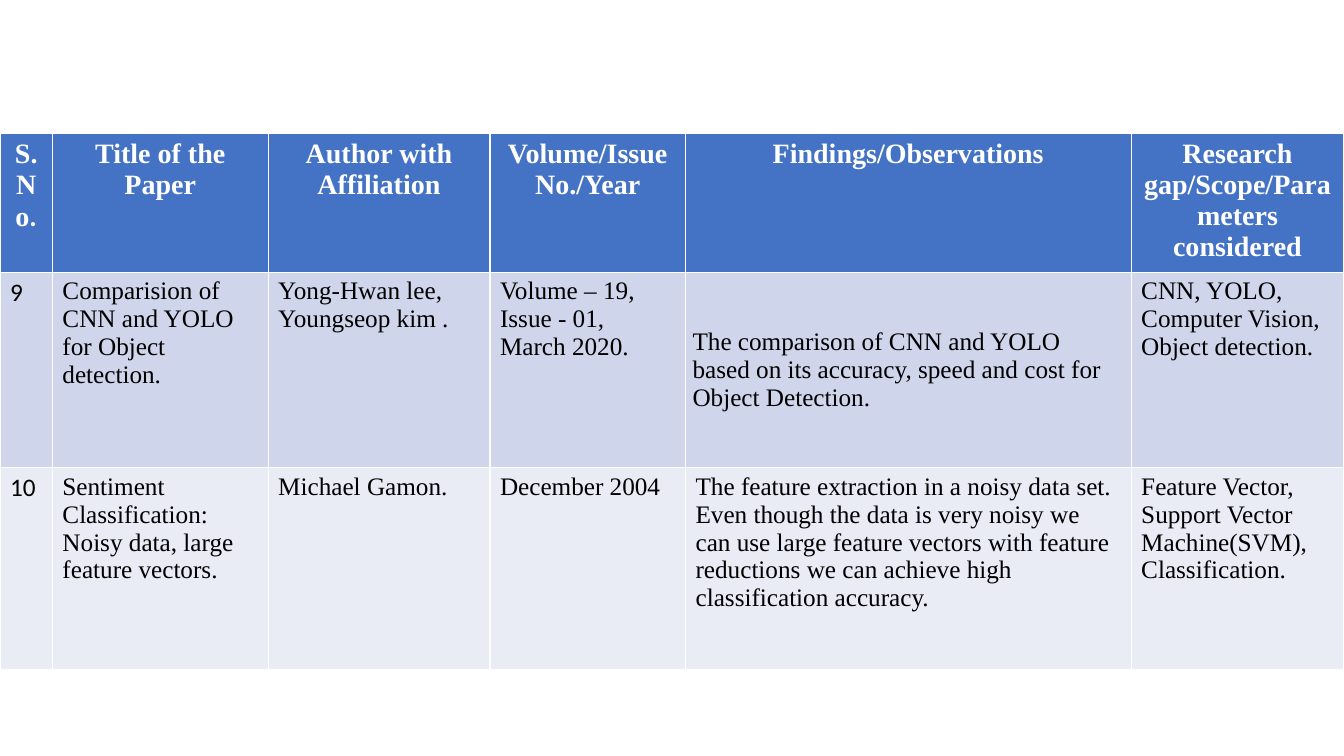
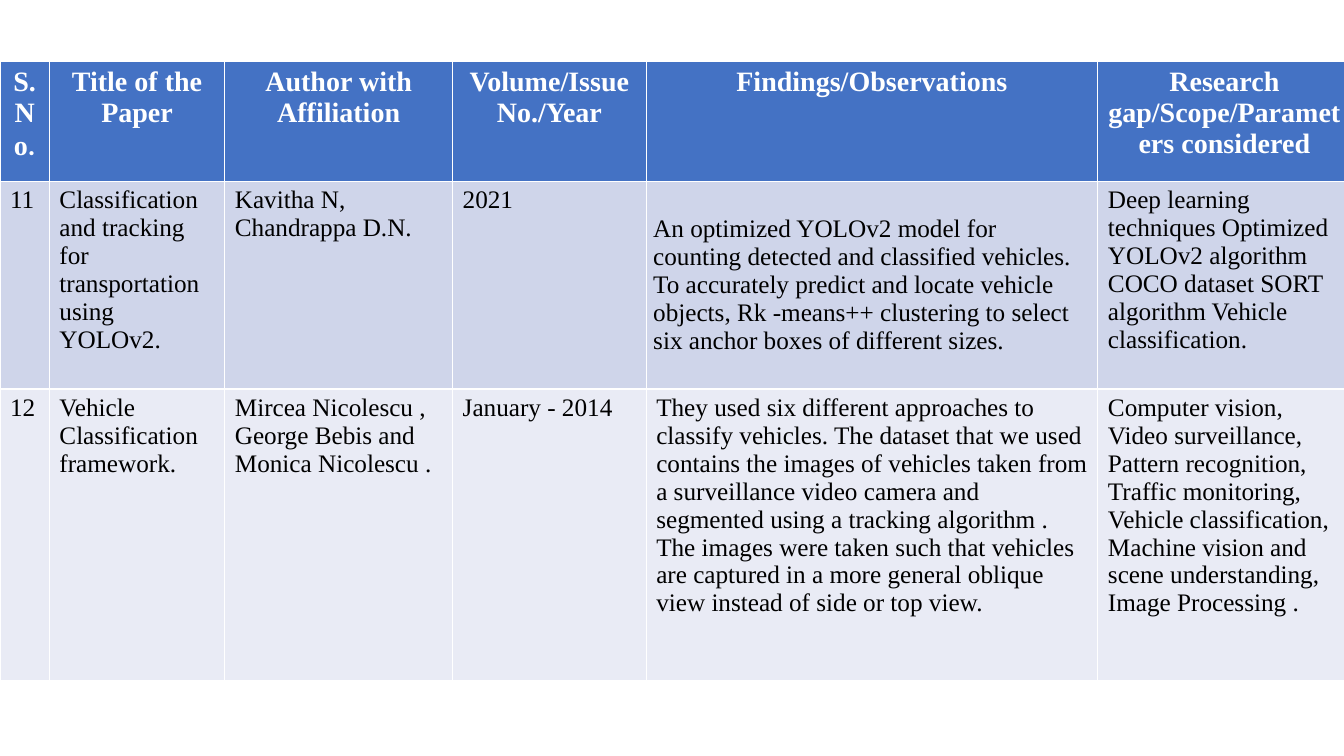
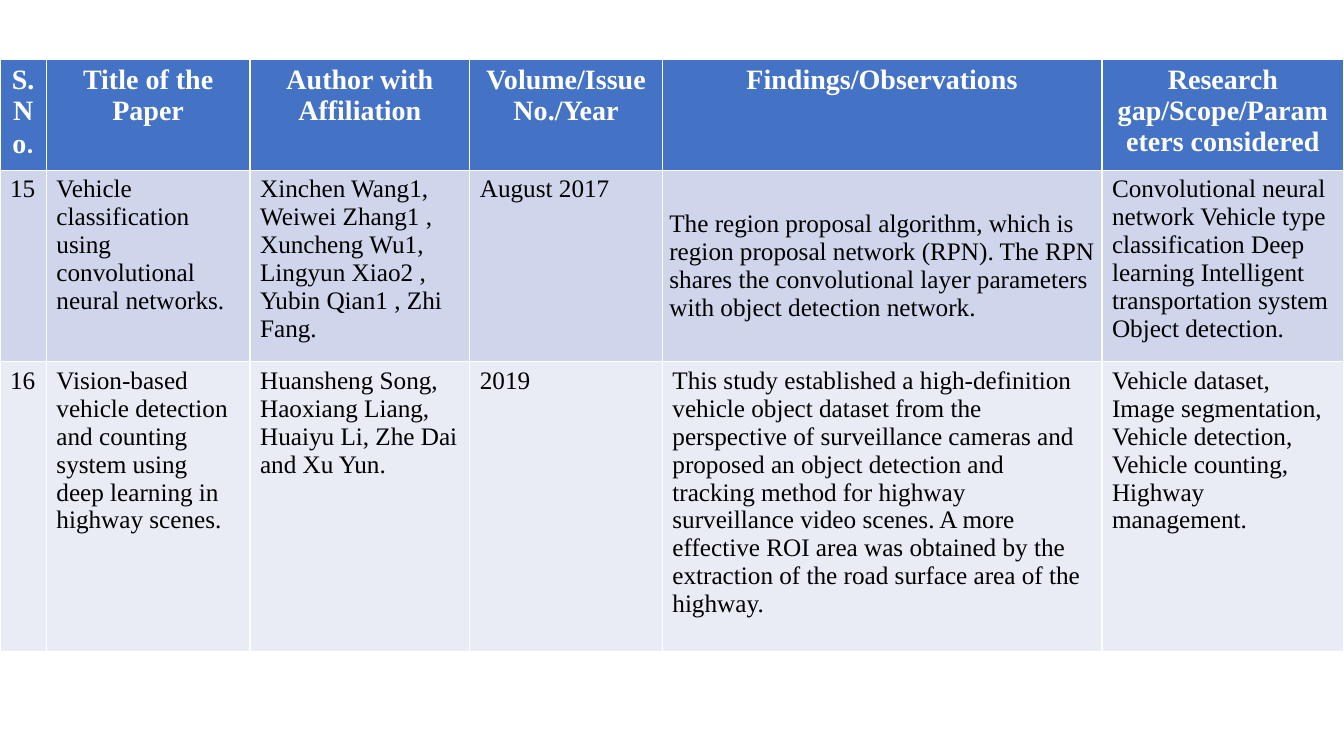
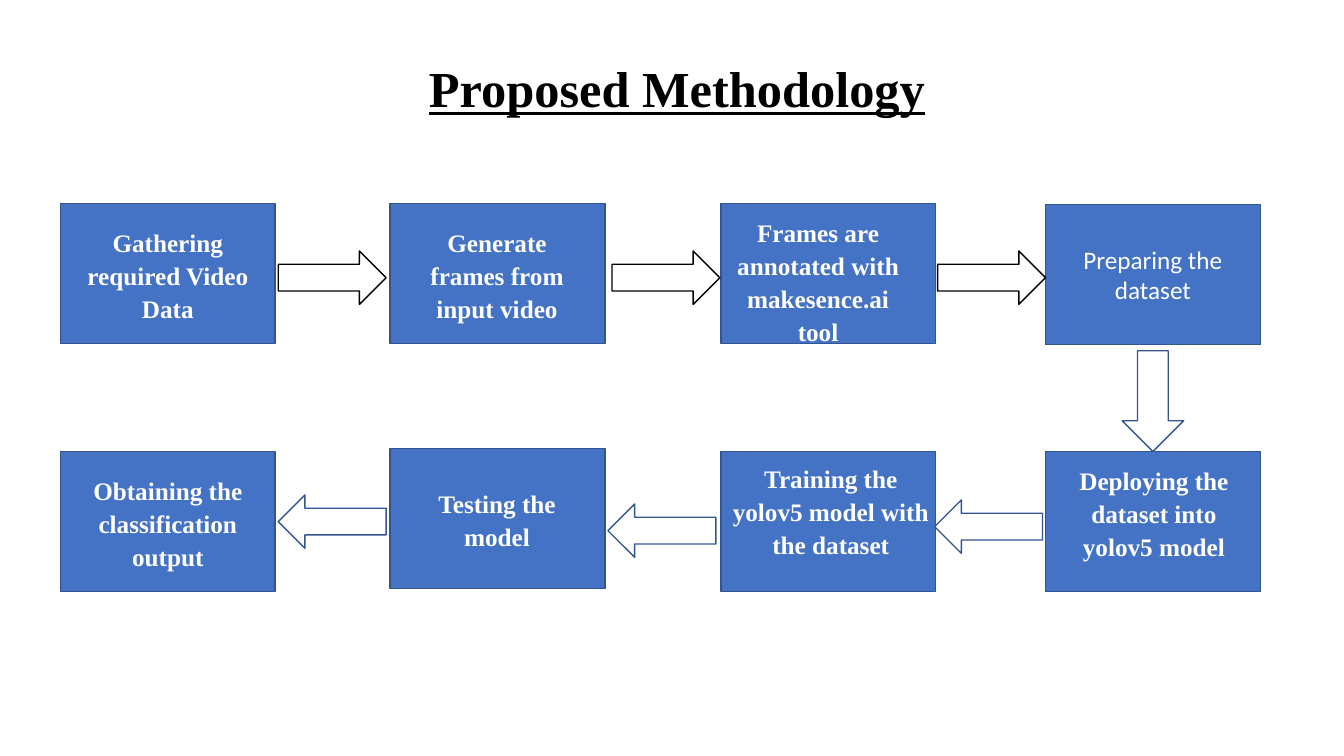
from pptx import Presentation
from pptx.dml.color import RGBColor
from pptx.enum.shapes import MSO_SHAPE as SHAPE
from pptx.enum.text import MSO_ANCHOR as ANCHOR, MSO_AUTO_SIZE as AUTO_SIZE, PP_ALIGN as ALIGN
from pptx.util import Inches, Pt

# Shared colours and fonts
WHITE = RGBColor(0xFF, 0xFF, 0xFF)
BLACK = RGBColor(0x00, 0x00, 0x00)
BLUE = RGBColor(0x44, 0x72, 0xC4)
DARK_BLUE = RGBColor(0x32, 0x54, 0x91)
BANDS = (RGBColor(0xCF, 0xD5, 0xEA), RGBColor(0xE9, 0xEB, 0xF5))
SERIF, SANS = "Times New Roman", "Calibri"

TITLE_ONLY, BLANK = 5, 6

# Literature survey tables
HEADERS = ["S.No", "Title of the Paper", "Author with Affiliation", "Volume/Issue No./Year",
           "Findings/Observations", "Research gap/Scope/Parameters considered"]
FINDINGS = HEADERS.index("Findings/Observations")

SURVEYS = [
    dict(top=1.32, cols=[0.52, 2.14, 2.2, 1.94, 4.42, 2.11], heights=[1.38, 1.94, 2],
         number_font=SANS, papers=[
        ["9", "Comparision of CNN and YOLO for Object detection.",
         "Yong-Hwan lee, Youngseop kim .", "Volume – 19, Issue - 01, March 2020.",
         "The comparison of CNN and YOLO based on its accuracy, speed and cost for "
         "Object Detection.",
         "CNN, YOLO, Computer Vision, Object detection."],
        ["10", "Sentiment Classification: Noisy data, large feature vectors.",
         "Michael Gamon.", "December 2004",
         "The feature extraction in a noisy data set. Even though the data is very noisy we "
         "can use large feature vectors with feature reductions we can achieve high "
         "classification accuracy.",
         "Feature Vector, Support Vector Machine(SVM), Classification."],
    ]),
    dict(top=0.61, cols=[0.49, 1.74, 2.26, 1.92, 4.48, 2.51], heights=[1.19, 2.06, 2.89],
         number_font=SERIF, papers=[
        ["11", "Classification and tracking for transportation using YOLOv2.",
         "Kavitha N, Chandrappa D.N.", "2021",
         "An optimized YOLOv2 model for counting detected and classified vehicles. To "
         "accurately predict and locate vehicle objects, Rk -means++ clustering to select "
         "six anchor boxes of different sizes.",
         "Deep learning techniques Optimized YOLOv2 algorithm COCO dataset SORT algorithm "
         "Vehicle classification."],
        ["12", "Vehicle Classification framework.",
         "Mircea Nicolescu , George Bebis and Monica Nicolescu .", "January - 2014",
         "They used six different approaches to classify vehicles. The dataset that we used "
         "contains the images of vehicles taken from a surveillance video camera and "
         "segmented using a tracking algorithm . The images were taken such that vehicles "
         "are captured in a more general oblique view instead of side or top view.",
         "Computer vision, Video surveillance, Pattern recognition, Traffic monitoring, "
         "Vehicle classification, Machine vision and scene understanding, Image Processing ."],
    ]),
    dict(top=0.59, cols=[0.46, 2.02, 2.18, 1.91, 4.36, 2.4], heights=[1.1, 1.9, 2.87],
         number_font=SERIF, papers=[
        ["15", "Vehicle classification using convolutional neural networks.",
         "Xinchen Wang1, Weiwei Zhang1 , Xuncheng Wu1, Lingyun Xiao2 , Yubin Qian1 , "
         "Zhi Fang.", "August 2017",
         "The region proposal algorithm, which is region proposal network (RPN). The RPN "
         "shares the convolutional layer parameters with object detection network.",
         "Convolutional neural network Vehicle type classification Deep learning Intelligent "
         "transportation system Object detection."],
        ["16", "Vision-based vehicle detection and counting system using deep learning in "
         "highway scenes.",
         "Huansheng Song, Haoxiang Liang, Huaiyu Li, Zhe Dai and Xu Yun.", "2019",
         "This study established a high-definition vehicle object dataset from the "
         "perspective of surveillance cameras and proposed an object detection and tracking "
         "method for highway surveillance video scenes. A more effective ROI area was "
         "obtained by the extraction of the road surface area of the highway.",
         "Vehicle dataset, Image segmentation, Vehicle detection, Vehicle counting, "
         "Highway management."],
    ]),
]

# Flow steps: left, top, text, (left, top, right) insets, anchor, font
STEP_SIZE = (2.13, 1.39)
STEPS = [
    (0.6, 2.02, "Gathering required Video Data", (0.1, 0.05, 0.1), ANCHOR.MIDDLE, SERIF),
    (3.87, 2.02, "Generate frames from input video", (0.23, 0.05, 0.24), ANCHOR.MIDDLE, SERIF),
    (7.15, 2.02, "Frames are annotated with makesence.ai tool", (0.1, 0.11, 0.3), ANCHOR.TOP, SERIF),
    (10.37, 2.03, "Preparing the dataset", (0.1, 0.05, 0.1), ANCHOR.MIDDLE, SANS),
    (10.37, 4.48, "Deploying the dataset into yolov5 model", (0.15, 0.11, 0.13), ANCHOR.TOP, SERIF),
    (7.15, 4.48, "Training the yolov5 model with the dataset", (0.11, 0.09, 0.06), ANCHOR.TOP, SERIF),
    (3.87, 4.45, "Testing the model", (0.39, 0.05, 0.4), ANCHOR.MIDDLE, SERIF),
    (0.6, 4.48, "Obtaining the classification output", (0.1, 0.05, 0.1), ANCHOR.MIDDLE, SERIF),
]

# Flow arrows: shape, left, top, size, line colour
FLAT, TALL = (1.07, 0.53), (0.61, 1)
ARROWS = [
    (SHAPE.RIGHT_ARROW, 2.76, 2.49, FLAT, BLACK),
    (SHAPE.RIGHT_ARROW, 6.07, 2.49, FLAT, BLACK),
    (SHAPE.RIGHT_ARROW, 9.3, 2.49, FLAT, BLACK),
    (SHAPE.DOWN_ARROW, 11.13, 3.48, TALL, DARK_BLUE),
    (SHAPE.LEFT_ARROW, 9.27, 4.96, FLAT, DARK_BLUE),
    (SHAPE.LEFT_ARROW, 6.03, 5, FLAT, DARK_BLUE),
    (SHAPE.LEFT_ARROW, 2.76, 4.91, FLAT, DARK_BLUE),
]


def add_run(p, text, size, color, font=SERIF, bold=False):
    r = p.add_run()
    r.text = text
    r.font.name, r.font.size, r.font.bold = font, Pt(size), bold
    r.font.color.rgb = color
    return r


def fill_cell(cell, color):
    cell.fill.solid()
    cell.fill.fore_color.rgb = color
    return cell.text_frame.paragraphs[0]


def add_survey(s, top, cols, heights, number_font, papers):
    table = s.shapes.add_table(len(heights), len(cols), 0, Inches(top),
                               Inches(sum(cols)), Inches(sum(heights))).table
    for column, width in zip(table.columns, cols):
        column.width = Inches(width)
    for row, height in zip(table.rows, heights):
        row.height = Inches(height)

    # Header row
    for i, header in enumerate(HEADERS):
        p = fill_cell(table.cell(0, i), BLUE)
        p.alignment = ALIGN.CENTER
        add_run(p, header, 20, WHITE, bold=True)
    add_run(table.cell(0, 0).text_frame.paragraphs[0], ".", 20, WHITE, SANS, True)

    # One row per paper
    for j, (paper, band) in enumerate(zip(papers, BANDS), 1):
        for i, text in enumerate(paper):
            p = fill_cell(table.cell(j, i), band)
            add_run(p, text, 18, BLACK, SERIF if i else number_font)

    # The first finding is centred in its row
    cell = table.cell(1, FINDINGS)
    cell.vertical_anchor = ANCHOR.MIDDLE
    cell.margin_left = cell.margin_right = Inches(0.07)
    cell.margin_top = cell.margin_bottom = 0
    cell.text_frame.paragraphs[0].space_after = Pt(8)


def add_title(s, text):
    title = s.shapes.title
    title.left, title.top = Inches(0.19), Inches(0.22)
    title.width, title.height = Inches(12.75), Inches(1.01)
    tf = title.text_frame
    tf.vertical_anchor = ANCHOR.TOP
    tf.auto_size = AUTO_SIZE.NONE
    tf.margin_left = Inches(0.4)
    p = tf.paragraphs[0]
    p.alignment, p.line_spacing, p.space_after = ALIGN.CENTER, 1.5, Pt(10)
    add_run(p, text, 36, BLACK, bold=True).font.underline = True


def add_block(s, shape, left, top, size, fill, line):
    sp = s.shapes.add_shape(shape, Inches(left), Inches(top), *map(Inches, size))
    sp.shadow.inherit = False
    sp.fill.solid()
    sp.fill.fore_color.rgb = fill
    sp.line.color.rgb = line
    sp.line.width = Pt(1)
    return sp


def add_step(s, left, top, text, insets, anchor, font):
    sp = add_block(s, SHAPE.RECTANGLE, left, top, STEP_SIZE, BLUE, DARK_BLUE)
    tf = sp.text_frame
    tf.word_wrap = True
    tf.vertical_anchor = anchor
    tf.margin_left, tf.margin_top, tf.margin_right = map(Inches, insets)
    p = tf.paragraphs[0]
    p.alignment = ALIGN.CENTER
    if font == SERIF:
        p.line_spacing = 1.09
    add_run(p, text, 18, WHITE, font, font == SERIF)


def main():
    prs = Presentation()
    prs.slide_width, prs.slide_height = Inches(13.33), Inches(7.5)

    # Literature survey
    for survey in SURVEYS:
        add_survey(prs.slides.add_slide(prs.slide_layouts[BLANK]), **survey)

    # Methodology flow
    s = prs.slides.add_slide(prs.slide_layouts[TITLE_ONLY])
    add_title(s, "Proposed Methodology")
    for step in STEPS:
        add_step(s, *step)
    for shape, left, top, size, line in ARROWS:
        add_block(s, shape, left, top, size, WHITE, line)

    prs.save("out.pptx")


if __name__ == "__main__":
    main()
